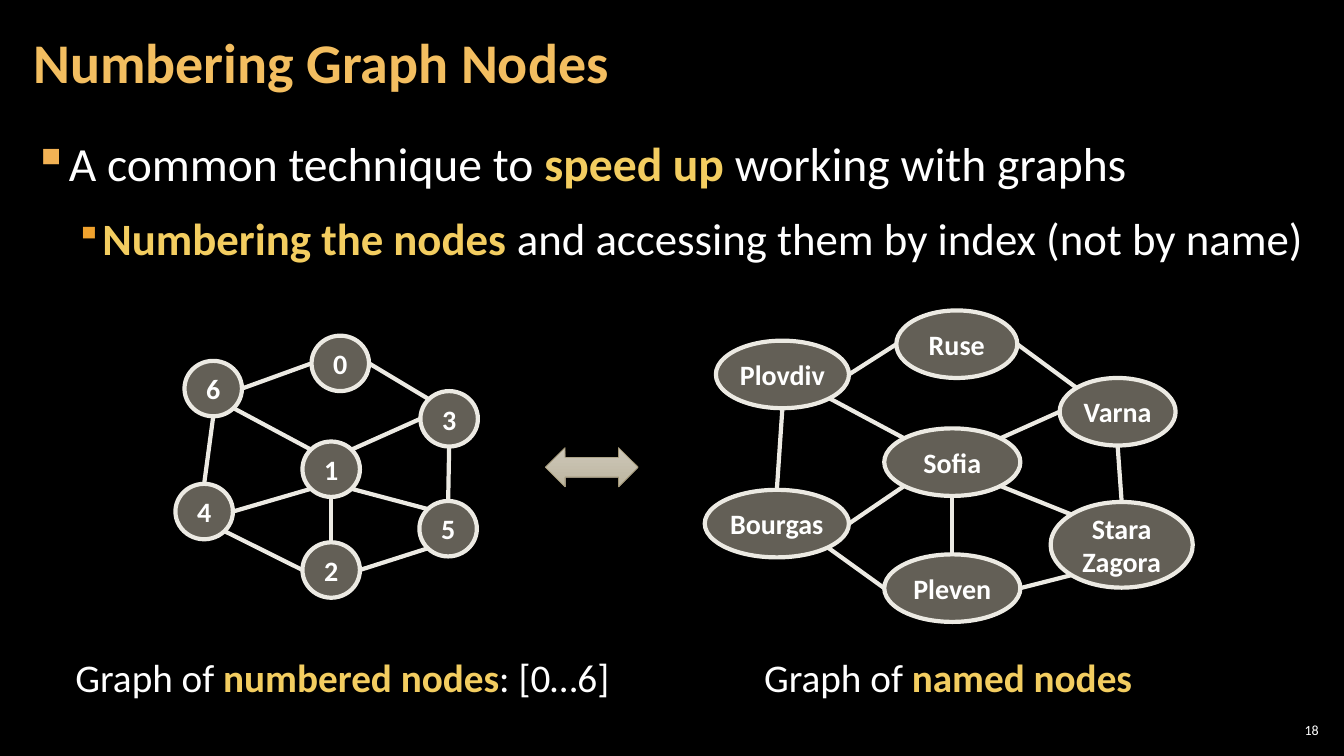
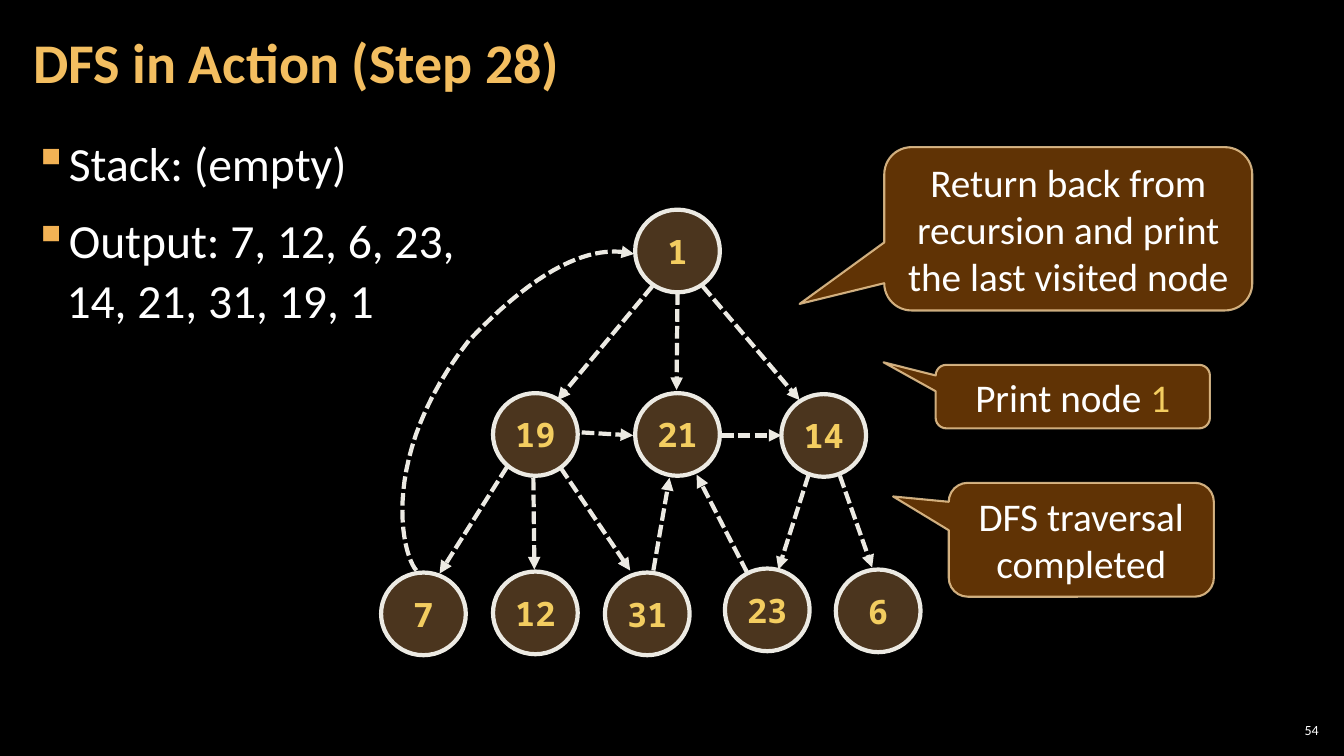
from math import sqrt

from pptx import Presentation
from pptx.dml.color import RGBColor as RGB
from pptx.enum.dml import MSO_LINE as Dash
from pptx.enum.shapes import MSO_CONNECTOR as Conn, MSO_SHAPE as Kind
from pptx.enum.text import MSO_ANCHOR as Anchor, PP_ALIGN as Align
from pptx.oxml.ns import qn
from pptx.util import Inches, Pt
from lxml.etree import SubElement

BLACK = RGB(0x00, 0x00, 0x00)
WHITE = RGB(0xFF, 0xFF, 0xFF)
GOLD = RGB(0xF3, 0xCD, 0x60)
AMBER = RGB(0xF3, 0xBE, 0x60)
PALE = RGB(0xEC, 0xEA, 0xE3)
STONE = RGB(0xC7, 0xBF, 0xAC)
BROWN = RGB(0x6C, 0x4C, 0x2C)
RUST = RGB(0x66, 0x36, 0x06)
CREAM = RGB(0xF8, 0xD4, 0x9E)
KHAKI = RGB(0xA1, 0x95, 0x74)
SHADES = RGB(0xCD, 0xC7, 0xB9), RGB(0xBD, 0xB5, 0x9F)

# Bullet levels: left margin, hanging indent, text size, bullet colour, bullet size
LEVELS = [(0.33, 0.33, 34, "F2B254", 100), (0.67, 0.25, 32, "F0A22E", 80)]

# Text between asterisks is highlighted
NUMBERING = ("Numbering Graph Nodes", 18, [
    (0, "A common technique to *speed up *working with graphs"),
    (1, "*Numbering the nodes *and accessing them by index (not by name)")])
TRAVERSAL = ("DFS in Action (Step 28)", 54, [
    (0, "Stack: (empty)"),
    (0, "Output: 7, 12, 6, 23,\n14, 21, 31, 19, 1")])

# Both graphs list their nodes in index order: label and box
NUMBERED = [(str(i), (x, y, 0.57, 0.55)) for i, (x, y) in enumerate([
    (3.09, 3.33), (3, 4.38), (3, 5.38), (4.17, 3.88), (1.74, 4.8),
    (4.16, 4.97), (1.83, 3.58)])]
NAMED = [
    ("Ruse", (8.89, 3.08, 1.2, 0.67)),
    ("Sofia", (8.77, 4.25, 1.35, 0.67)),
    ("Pleven", (8.77, 5.5, 1.35, 0.67)),
    ("Varna", (10.51, 3.75, 1.15, 0.67)),
    ("Bourgas", (6.99, 4.86, 1.43, 0.67)),
    ("Stara Zagora", (10.42, 4.98, 1.41, 0.85)),
    ("Plovdiv", (7.1, 3.38, 1.32, 0.67))]
# Node index and compass side, at each end
EDGES = [
    (0, "w", 6, "e"), (0, "e", 3, "nw"), (3, "s", 5, "n"), (6, "se", 1, "nw"),
    (6, "s", 4, "n"), (4, "se", 2, "w"), (3, "w", 1, "ne"), (1, "s", 2, "n"),
    (5, "sw", 2, "e"), (4, "e", 1, "sw"), (1, "se", 5, "nw")]
CAPTIONS = [("Graph of *numbered nodes*: [0…6]", (0.65, 6.43, 5.51, 0.57)),
            ("Graph of *named nodes*", (7.48, 6.43, 3.89, 0.57))]

TREE = [("1", 6.3, 2.08), ("19", 4.89, 3.9), ("21", 6.3, 3.9),
        ("14", 7.75, 3.91), ("7", 3.78, 5.68), ("12", 4.89, 5.67),
        ("31", 6, 5.68), ("23", 7.19, 5.64), ("6", 8.29, 5.65)]
ARROWS = [
    ((6.47, 2.84), (5.53, 3.97)), ((6.72, 2.9), (6.71, 3.87)),
    ((6.97, 2.84), (7.93, 3.97)), ((5.77, 4.29), (6.28, 4.32)),
    ((7.15, 4.32), (7.75, 4.32)), ((5.03, 4.63), (4.36, 5.69)),
    ((5.29, 4.74), (5.3, 5.65)), ((5.56, 4.64), (6.25, 5.66)),
    ((6.48, 5.66), (6.64, 4.74)), ((7.41, 5.68), (6.91, 4.71)),
    ((8.02, 4.71), (7.72, 5.65)), ((8.33, 4.72), (8.65, 5.63))]
BACK = [[(4.13, 5.66), (3.98, 5.49), (3.76, 4.51), (4.65, 3.38)],
        [(4.65, 3.38), (5.54, 2.44), (6.04, 2.46), (6.29, 2.52)]]
CALLOUTS = [
    ("Return back from recursion and print the last visited node",
     (8.77, 1.46, 3.65, 1.62), (-0.73, 0.46)),
    ("Print node *1*", (9.28, 3.62, 2.72, 0.63), (-0.69, -0.54)),
    ("DFS traversal completed", (9.41, 4.79, 2.63, 1.13), (-0.71, -0.38))]


def inch(vals):
    return [Inches(v) for v in vals]


def write(para, text, size=28, color=WHITE, bold=False, hot=True,
          face="Calibri", align=None):
    """Fill a paragraph; hot tells whether highlighted parts are bold."""
    para.alignment = align
    for i, part in enumerate(text.split("*")):
        lit = i % 2 == 1
        for j, row in enumerate(part.split("\n")):
            if j:
                para.add_line_break()
            if row:
                run = para.add_run()
                run.text = row
                font = run.font
                font.name, font.size = face, Pt(size)
                font.bold = hot if lit else bold
                font.color.rgb = GOLD if lit else color


def frame(shape, pad=(0.1, 0.05), anchor=Anchor.MIDDLE, wrap=True):
    box = shape.text_frame
    box.margin_left = box.margin_right = Inches(pad[0])
    box.margin_top = box.margin_bottom = Inches(pad[1])
    box.vertical_anchor, box.word_wrap = anchor, wrap
    return box


def label(slide, at, text, pad=(0.1, 0.05), anchor=Anchor.TOP, wrap=True,
          **form):
    box = frame(slide.shapes.add_textbox(*inch(at)), pad, anchor, wrap)
    write(box.paragraphs[0], text, **form)


def stroke(shape, color=PALE, width=3, arrow=False):
    line = shape.line
    line.color.rgb, line.width = color, Pt(width)
    if arrow:
        line.dash_style = Dash.SQUARE_DOT
        ln = shape.element.spPr.find(qn("a:ln"))
        SubElement(ln, qn("a:tailEnd"), type="triangle")


def fade(shape, *rates):
    """Set the opacity in percent of the fill, then of the line."""
    colors = list(shape.element.spPr.iter(qn("a:srgbClr")))
    for color, rate in zip(colors, rates):
        SubElement(color, qn("a:alpha"), val=str(rate * 1000))


def solid(slide, kind, at, fill, line=PALE, width=3):
    shape = slide.shapes.add_shape(kind, *inch(at))
    shape.shadow.inherit = False
    shape.fill.solid()
    shape.fill.fore_color.rgb = fill
    stroke(shape, line, width)
    return shape


def link(slide, start, end, arrow=False):
    line = slide.shapes.add_connector(Conn.STRAIGHT, *inch(start + end))
    stroke(line, arrow=arrow)
    SubElement(line.element.spPr, qn("a:effectLst"))


def bullet(para, level, text):
    left, hang, size, color, scale = LEVELS[level]
    para.level = level
    para.line_spacing = 1.05
    para.space_before = Pt(6 if level or para.text else 0)
    para.space_after = Pt(6)
    props = para._p.get_or_add_pPr()
    props.set("marL", str(Inches(left)))
    props.set("indent", str(-Inches(hang)))
    SubElement(SubElement(props, qn("a:buClr")), qn("a:srgbClr"), val=color)
    SubElement(props, qn("a:buSzPct"), val=str(scale * 1000))
    SubElement(props, qn("a:buChar"), char="▪")
    write(para, text, size)


def base(deck, title, number, points):
    """Add a slide with its title, number and bullets."""
    slide = deck.slides.add_slide(deck.slide_layouts[5])
    head = slide.shapes.title
    head.left, head.top, head.width, head.height = inch((0.21, 0.04, 10.47, 1.21))
    para = frame(head, (0.12, 0.04)).paragraphs[0]
    para.line_spacing = 0.9
    write(para, title, 40, AMBER, True, align=Align.LEFT)
    label(slide, (12.65, 7.14, 0.47, 0.21), str(number), (0.04, 0.04),
          Anchor.MIDDLE, size=10, align=Align.RIGHT)
    area = slide.shapes.add_textbox(*inch((0.21, 1.26, 12.91, 6.09)))
    body = frame(area, (0.12, 0.04), Anchor.TOP)
    for i, (level, text) in enumerate(points):
        para = body.add_paragraph() if i else body.paragraphs[0]
        bullet(para, level, text)
        para.space_before = Pt(6 if i else 0)
    return slide


def site(box, side):
    """Point on the ellipse in a box, at a compass side."""
    x, y, w, h = box
    dx = ("e" in side) - ("w" in side)
    dy = ("s" in side) - ("n" in side)
    reach = 2 * sqrt(len(side))
    return x + w / 2 + dx * w / reach, y + h / 2 + dy * h / reach


def graph(slide, nodes):
    for a, out, b, into in EDGES:
        link(slide, site(nodes[a][1], out), site(nodes[b][1], into))
    for text, at in nodes:
        node = solid(slide, Kind.OVAL, at, STONE)
        fade(node, 50)
        write(frame(node, (0.04, 0.05)).paragraphs[0], text, 20, bold=True,
              align=Align.CENTER)


def bend(curve, t):
    """Point at t on a cubic curve."""
    u = 1 - t
    rates = u ** 3, 3 * u * u * t, 3 * u * t * t, t ** 3
    return tuple(sum(r * p[k] for r, p in zip(rates, curve)) for k in (0, 1))


def arc(slide, curves, steps=24):
    spots = [inch(bend(c, i / steps)) for c in curves
             for i in range(1, steps + 1)]
    path = slide.shapes.build_freeform(*inch(curves[0][0]))
    path.add_line_segments(spots, close=False)
    shape = path.convert_to_shape()
    shape.shadow.inherit = False
    shape.fill.background()
    stroke(shape, arrow=True)


def numbering(deck):
    slide = base(deck, *NUMBERING)
    graph(slide, NUMBERED)
    graph(slide, NAMED)
    swap = solid(slide, Kind.LEFT_RIGHT_ARROW, (5.41, 4.44, 0.92, 0.39),
                 STONE, KHAKI, 0.5)
    swap.fill.gradient()
    swap.fill.gradient_angle = 270
    for stop, shade in zip(swap.fill.gradient_stops, SHADES):
        stop.color.rgb = shade
    for text, at in CAPTIONS:
        label(slide, at, text, wrap=False)


def traversal(deck):
    slide = base(deck, *TRAVERSAL)
    for text, x, y in TREE:
        node = solid(slide, Kind.OVAL, (x, y, 0.84, 0.82), BROWN)
        fade(node, 70)
        write(frame(node, wrap=False).paragraphs[0], text, 24, GOLD, True,
              face="Noto Sans Mono", align=Align.CENTER)
    for start, end in ARROWS:
        link(slide, start, end, arrow=True)
    arc(slide, BACK)
    for text, at, tip in CALLOUTS:
        note = solid(slide, Kind.ROUNDED_RECTANGULAR_CALLOUT, at, RUST, CREAM, 1.5)
        fade(note, 95, 80)
        note.adjustments[0], note.adjustments[1] = tip
        write(frame(note).paragraphs[0], text, hot=False, align=Align.CENTER)


def main():
    deck = Presentation()
    deck.slide_width, deck.slide_height = inch((13.33, 7.5))
    back = deck.slide_master.background.fill
    back.solid()
    back.fore_color.rgb = BLACK
    numbering(deck)
    traversal(deck)
    deck.save("out.pptx")


if __name__ == "__main__":
    main()
